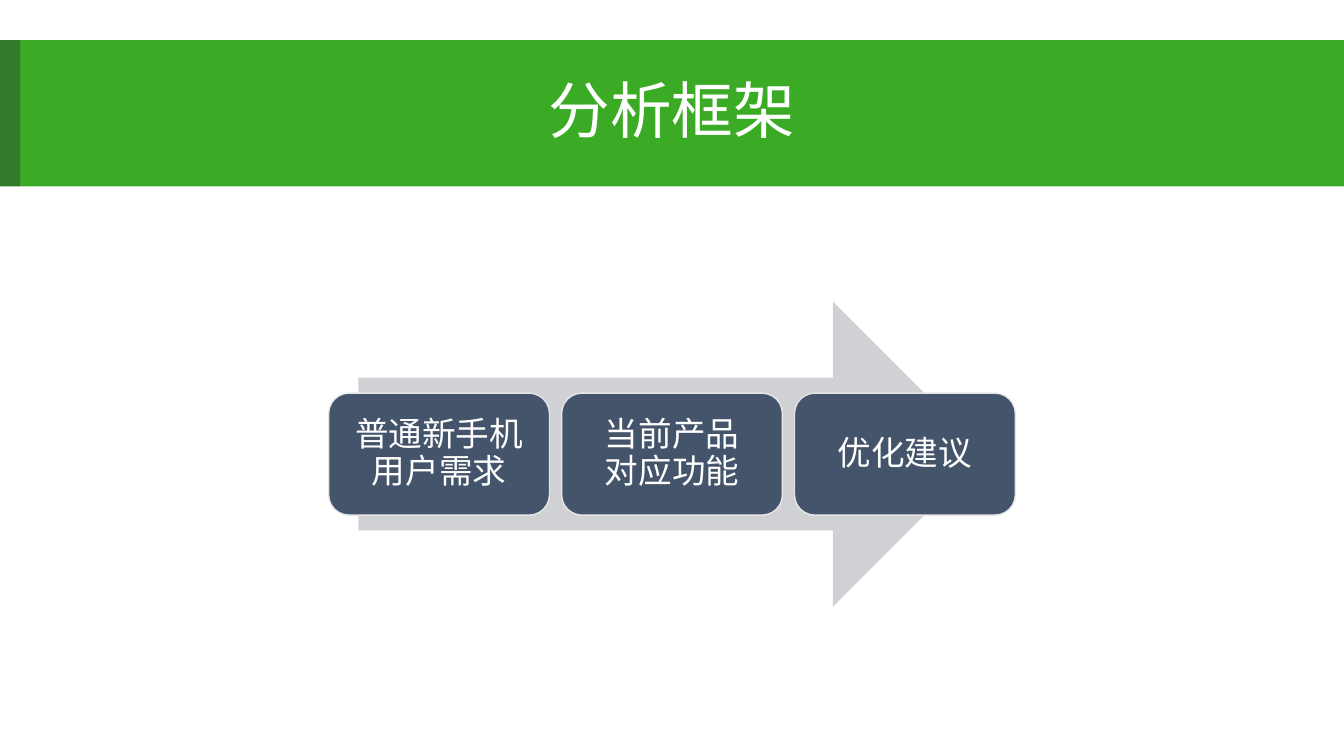
from pptx import Presentation
from pptx.dml.color import RGBColor
from pptx.enum.shapes import MSO_SHAPE
from pptx.enum.text import MSO_ANCHOR, MSO_AUTO_SIZE, PP_ALIGN
from pptx.oxml import parse_xml
from pptx.oxml.ns import nsdecls
from pptx.util import Inches, Pt

COLOURS = {
    "band": "3BAA24",
    "edge": "317A2B",
    "arrow": "CFD1D4",
    "step": "44546A",
    "outline": "E7E6E6",
    "text": "FFFFFF",
}


class Style:
    """Holds the look and the current page; lengths are percent of the page."""

    font = "Noto Sans CJK SC"

    def __init__(self, deck):
        self.deck = deck
        self.page = deck.slides.add_slide(deck.slide_layouts[5])

    def place(self, left, top, width, height):
        across, down = self.deck.slide_width, self.deck.slide_height
        return [int(share * size / 100) for share, size in
                zip((left, top, width, height), (across, down, across, down))]

    def colour(self, name):
        return RGBColor.from_string(COLOURS[name])

    def shape(self, kind, area, fill, outline=None):
        shape = self.page.shapes.add_shape(kind, *self.place(*area))
        shape.shadow.inherit = False
        shape.fill.solid()
        shape.fill.fore_color.rgb = self.colour(fill)
        if outline:
            shape.line.color.rgb = self.colour(outline)
            shape.line.width = Pt(1)
        else:
            shape.line.fill.background()
        return shape

    def add_text(self, box, lines, size):
        frame = box.text_frame
        frame.word_wrap = True
        frame.auto_size = MSO_AUTO_SIZE.NONE
        frame.vertical_anchor = MSO_ANCHOR.MIDDLE
        para = frame.paragraphs[0]
        para.alignment = PP_ALIGN.CENTER
        para.line_spacing = 0.9
        for number, line in enumerate(lines):
            if number:
                para.add_line_break()
            span = para.add_run()
            span.text = line
            span.font.size = Pt(size)
            span.font.name = self.font
            span.font.color.rgb = self.colour("text")
            # East Asian text takes its own typeface setting
            span.font._element.get_or_add_latin().addnext(
                parse_xml(f'<a:ea {nsdecls("a")} typeface="{self.font}"/>'))

    def title(self, text, area):
        title = self.page.shapes.title
        title.left, title.top, title.width, title.height = self.place(*area)
        self.add_text(title, [text], 44)
        # Bring the title in front of the band
        self.page.shapes._spTree.append(title._element)

    def step(self, lines, area):
        box = self.shape(MSO_SHAPE.ROUNDED_RECTANGLE, area, "step", "outline")
        frame = box.text_frame
        frame.margin_left = frame.margin_right = Inches(0.1)
        frame.margin_top = frame.margin_bottom = Inches(0.1)
        self.add_text(box, lines, 24)


deck = Presentation()
deck.slide_width, deck.slide_height = Inches(13.33), Inches(7.5)
style = Style(deck)

# Title band
band_top, band_height, edge_width = 5.33, 19.33, 1.5
style.shape(MSO_SHAPE.RECTANGLE,
            (edge_width, band_top, 100 - edge_width, band_height), "band")
style.shape(MSO_SHAPE.RECTANGLE, (0, band_top, edge_width, band_height), "edge")
style.title("分析框架", (6.88, band_top, 86.25, band_height))

# Arrow, centred on the page
middle = 60.07
arrow_width, arrow_height = 46.66, 40.4
style.shape(MSO_SHAPE.RIGHT_ARROW,
            ((100 - arrow_width) / 2, middle - arrow_height / 2,
             arrow_width, arrow_height), "arrow")

# Steps, spread evenly about the centre
steps = [["普通新手机用户需求"], ["当前产品", "对应功能"], ["优化建议"]]
step_width, step_height, gap = 16.43, 16.13, 0.9
pitch = step_width + gap
first_left = (100 - len(steps) * pitch + gap) / 2
for column, lines in enumerate(steps):
    style.step(lines, (first_left + column * pitch, middle - step_height / 2,
                       step_width, step_height))

deck.save("out.pptx")
